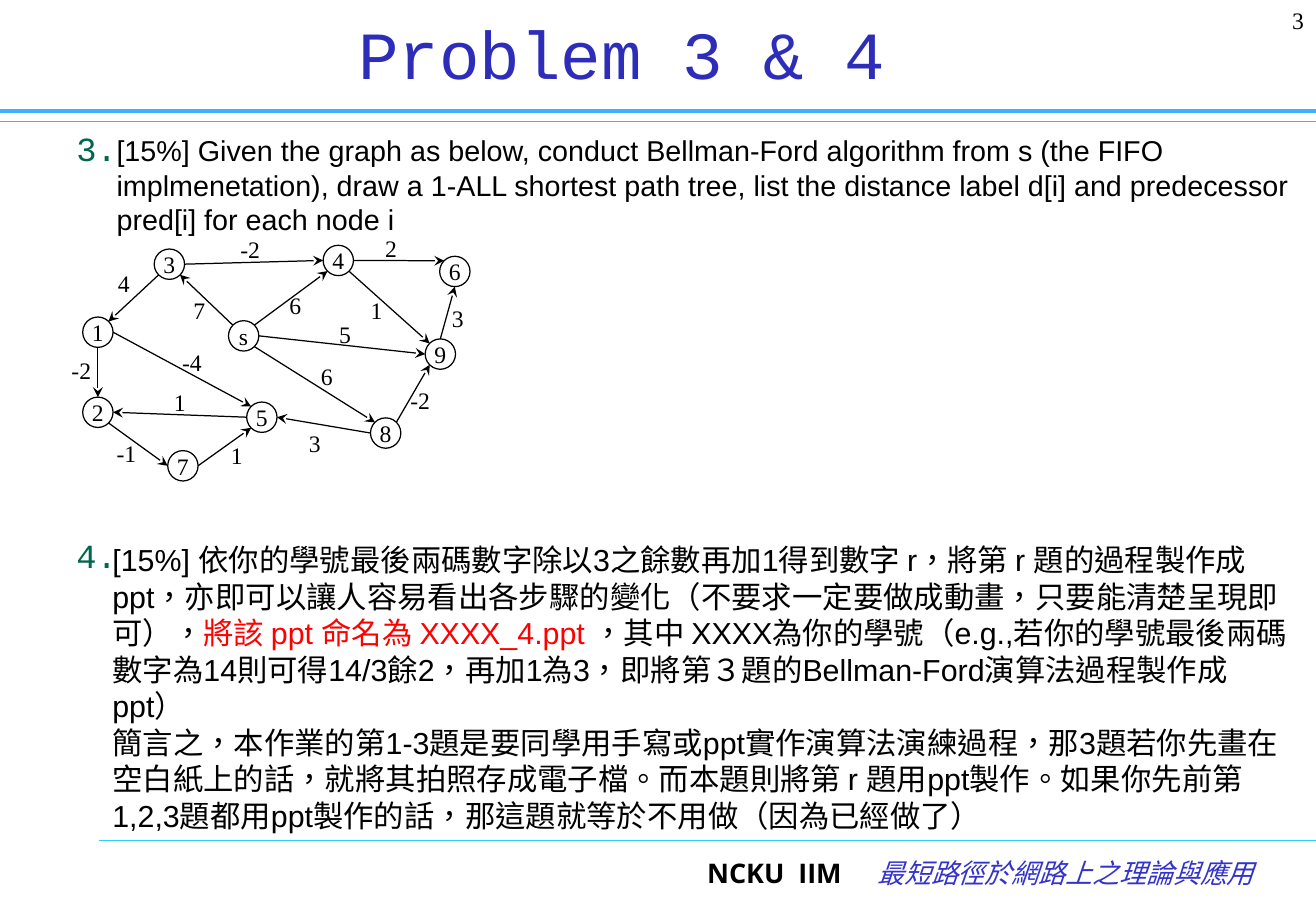
from lxml import etree
from pptx import Presentation
from pptx.dml.color import RGBColor
from pptx.enum.lang import MSO_LANGUAGE_ID
from pptx.enum.shapes import MSO_CONNECTOR, MSO_SHAPE
from pptx.enum.text import MSO_ANCHOR, MSO_AUTO_SIZE, PP_ALIGN
from pptx.oxml.ns import qn
from pptx.util import Pt

CHINESE = MSO_LANGUAGE_ID.TRADITIONAL_CHINESE
LEFT, CENTER, RIGHT = PP_ALIGN.LEFT, PP_ALIGN.CENTER, PP_ALIGN.RIGHT
TOP, MIDDLE = MSO_ANCHOR.TOP, MSO_ANCHOR.MIDDLE
BLACK = RGBColor(0x00, 0x00, 0x00)
RED = RGBColor(0xFF, 0x00, 0x00)
TITLE_BLUE = RGBColor(0x2D, 0x2D, 0xB9)
COURSE_BLUE = RGBColor(0x33, 0x33, 0xCC)
NUMBER_GREEN = RGBColor(0x00, 0x66, 0x4D)
HEADER_BLUE = RGBColor(0x3D, 0xB0, 0xFF)
FOOTER_BLUE = RGBColor(0x33, 0xCC, 0xFF)
SLIDE_WIDTH, SLIDE_HEIGHT = 780, 540
NODE_SIZE = 18


def write(shape, *paragraphs, size=14, font="Times New Roman", color=BLACK, bold=False,
          italic=False, align=LEFT, anchor=TOP, wrap=True, space_before=0, language=None):
    """Fill a shape; a paragraph is a list of (text, colour) runs or a plain string."""
    frame = shape.text_frame
    frame.auto_size = MSO_AUTO_SIZE.NONE
    frame.word_wrap = wrap
    frame.vertical_anchor = anchor
    for index, runs in enumerate(paragraphs):
        paragraph = frame.add_paragraph() if index else frame.paragraphs[0]
        paragraph.alignment = align
        paragraph.space_before = Pt(space_before)
        for text, run_color in [(runs, color)] if isinstance(runs, str) else runs:
            run = paragraph.add_run()
            run.text = text
            run.font.name = font
            run.font.size = Pt(size)
            run.font.bold = bold
            run.font.italic = italic
            run.font.color.rgb = run_color
            if language:
                run.font.language_id = language


def add_line(start, end, color=BLACK, width=0.75, arrow=False):
    line = slide.shapes.add_connector(MSO_CONNECTOR.STRAIGHT, *(Pt(v) for v in (*start, *end)))
    line.line.color.rgb = color
    line.line.width = Pt(width)
    if arrow:
        etree.SubElement(line.line._get_or_add_ln(), qn("a:tailEnd"), type="stealth")
    etree.SubElement(line._element.spPr, qn("a:effectLst"))


presentation = Presentation()
presentation.slide_width, presentation.slide_height = Pt(SLIDE_WIDTH), Pt(SLIDE_HEIGHT)
slide = presentation.slides.add_slide(presentation.slide_layouts[1])

# Rules of the page frame
add_line((0, 72), (SLIDE_WIDTH, 72), HEADER_BLUE)
add_line((0, 66), (SLIDE_WIDTH, 66), HEADER_BLUE, 2.5)
add_line((58.5, 498), (SLIDE_WIDTH, 498), FOOTER_BLUE)

# Title and problem numbers
title, numbers = slide.placeholders
title.left, title.top, title.width, title.height = Pt(21), Pt(0), Pt(718.5), Pt(62.5)
write(title, "Problem 3 & 4 ", size=40, font="Courier New", color=TITLE_BLUE,
      align=CENTER, anchor=MIDDLE)
numbers.left, numbers.top, numbers.width, numbers.height = Pt(38), Pt(72), Pt(726.5), Pt(426)
write(numbers, "3.", "4.", size=20, font="Courier New", color=NUMBER_GREEN, space_before=5)
numbers.text_frame.paragraphs[1].space_before = Pt(217.5)
for paragraph in numbers.text_frame.paragraphs:
    properties = paragraph._p.get_or_add_pPr()
    properties.set("marL", "0")
    properties.set("indent", "0")
    etree.SubElement(properties, qn("a:buNone"))

# Problem texts, page number and footer
problem_3 = ("[15%] Given the graph as below, conduct Bellman-Ford algorithm from s (the FIFO "
             "implmenetation), draw a 1-ALL shortest path tree, list the distance label d[i] "
             "and predecessor pred[i] for each node i")
problem_4 = [
    ("[15%] 依你的學號最後兩碼數字除以3之餘數再加1得到數字 r，將第 r 題的過程製作成ppt，"
     "亦即可以讓人容易看出各步驟的變化（不要求一定要做成動畫，只要能清楚呈現即可），", BLACK),
    ("將該 ppt 命名為 XXXX_4.ppt ", RED),
    ("，其中 XXXX為你的學號（e.g.,若你的學號最後兩碼數字為14則可得14/3餘2，再加1為3，"
     "即將第３題的Bellman-Ford演算法過程製作成 ppt）", BLACK),
]
summary = ("簡言之，本作業的第1-3題是要同學用手寫或ppt實作演算法演練過程，那3題若你先畫在空白紙上的話，"
           "就將其拍照存成電子檔。而本題則將第 r 題用ppt製作。如果你先前第1,2,3題都用ppt製作的話，"
           "那這題就等於不用做（因為已經做了）")
text_boxes = [
    ((62, 75.5, 718, 69), [problem_3], dict(size=17, font="Arial")),
    ((59.5, 317.5, 718, 181.5), [problem_4, summary],
     dict(size=18, font="Arial", language=CHINESE)),
    ((715, 0, 65, 36), ["3"], dict(align=RIGHT)),
    ((356, 504, 150, 36), ["NCKU  IIM"],
     dict(size=16, font="Open Sans", bold=True, align=RIGHT)),
    ((500, 504, 250.5, 36), ["最短路徑於網路上之理論與應用"],
     dict(size=16, font="Courier New", color=COURSE_BLUE, italic=True, align=RIGHT,
          language=CHINESE)),
]
for box, paragraphs, text_format in text_boxes:
    write(slide.shapes.add_textbox(*(Pt(v) for v in box)), *paragraphs, **text_format)

# Graph: node corners, then edges with their ports, weight and weight centre
nodes = {
    "s": (135.4, 190.1), "1": (49, 187.9), "2": (49, 235.4), "3": (91.4, 147.6),
    "4": (191.5, 145.4), "5": (146.2, 238.3), "6": (260.6, 151.9), "7": (99.4, 267.1),
    "8": (219.6, 247.7), "9": (252, 200.9),
}
ports = {
    "N": (0.5, 0), "S": (0.5, 1), "W": (0, 0.5), "E": (1, 0.5),
    "NW": (0.15, 0.15), "NE": (0.85, 0.15), "SW": (0.15, 0.85), "SE": (0.85, 0.85),
}
edges = [
    ("1", "E", "5", "NW", "-4", 113.8, 214.6), ("1", "S", "2", "N", "-2", 48.2, 219.6),
    ("s", "NW", "3", "SE", "7", 118.1, 183.6), ("7", "E", "5", "SW", "1", 140.4, 269.6),
    ("8", "W", "5", "E", "3", 186.5, 262.8), ("s", "NE", "4", "SW", "6", 175, 180.7),
    ("s", "E", "9", "W", "5", 204.5, 198), ("5", "W", "2", "E", "1", 106.6, 238.3),
    ("4", "E", "6", "NW", "2", 231.8, 146.9), ("3", "SW", "1", "NE", "4", 73.4, 168.1),
    ("3", "E", "4", "W", "-2", 148.3, 147.6), ("s", "SE", "8", "NW", "6", 193.7, 223.2),
    ("4", "SE", "9", "NW", "1", 223.2, 183.6), ("8", "NE", "9", "SW", "-2", 249.1, 236.9),
    ("9", "N", "6", "S", "3", 271.4, 188.6), ("2", "SE", "7", "W", "-1", 74.9, 268.6),
]
for name, (left, top) in nodes.items():
    node = slide.shapes.add_shape(MSO_SHAPE.FLOWCHART_CONNECTOR, Pt(left), Pt(top),
                                  Pt(NODE_SIZE), Pt(NODE_SIZE))
    node.shadow.inherit = False
    node.fill.background()
    node.line.color.rgb = BLACK
    node.line.width = Pt(0.75)
    write(node, name, align=CENTER, anchor=MIDDLE, wrap=False)

for source, source_port, target, target_port, weight, center_x, center_y in edges:
    start, end = [
        [corner + NODE_SIZE * share for corner, share in zip(nodes[name], ports[port])]
        for name, port in ((source, source_port), (target, target_port))
    ]
    add_line(start, end, arrow=True)
    label = slide.shapes.add_textbox(Pt(center_x - 13), Pt(center_y - 12), Pt(26), Pt(24))
    write(label, weight, align=CENTER, wrap=False)

presentation.save("out.pptx")
